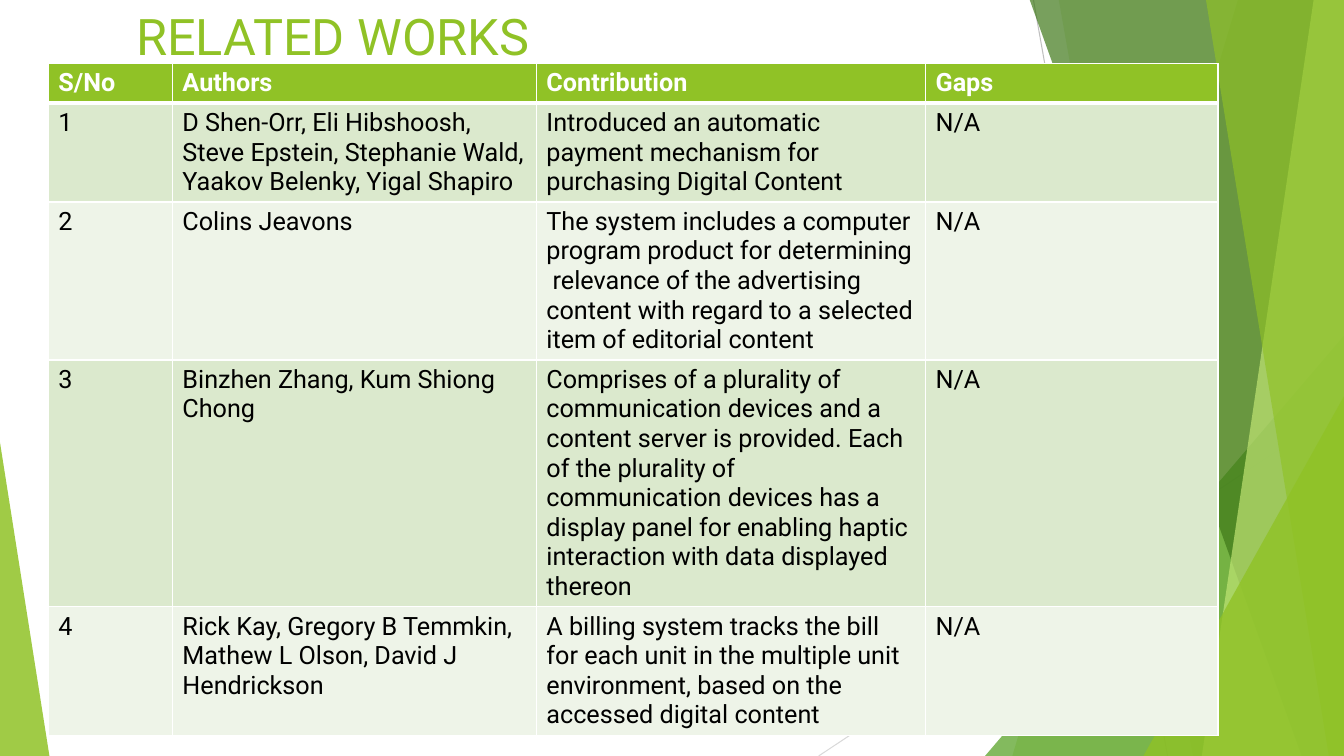
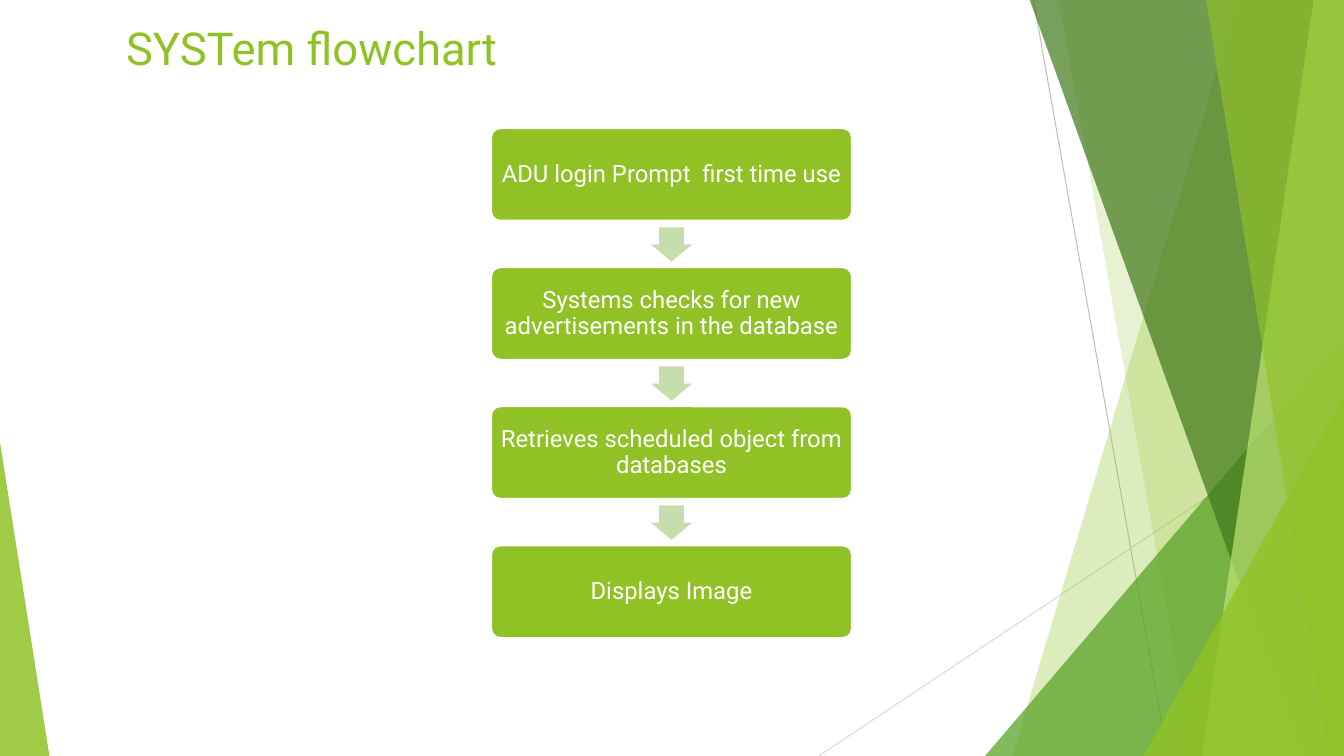
from pptx import Presentation
from pptx.dml.color import RGBColor
from pptx.enum.shapes import MSO_CONNECTOR, MSO_SHAPE
from pptx.enum.text import MSO_ANCHOR, MSO_AUTO_SIZE, PP_ALIGN
from pptx.oxml.ns import qn
from pptx.util import Inches, Pt
from lxml.etree import SubElement

# Shared look
WHITE = RGBColor(0xFF, 0xFF, 0xFF)
BLACK = RGBColor(0, 0, 0)
LIME = RGBColor(0x90, 0xC2, 0x26)
GREEN = RGBColor(0x54, 0xA0, 0x21)
FOREST = RGBColor(0x3F, 0x78, 0x19)
PALE = RGBColor(0xC0, 0xE4, 0x74)
ARROW = RGBColor(0xC6, 0xDD, 0xAD)
ODD = RGBColor(0xDB, 0xE9, 0xCD)
EVEN = RGBColor(0xEE, 0xF4, 0xE8)
GREY = RGBColor(0xBF, 0xBF, 0xBF)
SILVER = RGBColor(0xD9, 0xD9, 0xD9)
WIDE, HIGH, TOP = 13.33, 7.5, -0.01

HEAD = {"name": "Roboto", "size": Pt(18), "bold": True}
CELL = {"name": "Roboto", "size": Pt(18), "bold": False}
STEP = {"name": "Roboto", "size": Pt(17)}
FRAME = {"word_wrap": True, "auto_size": MSO_AUTO_SIZE.NONE}
INSET = {"margin_" + side: Inches(0.05)
         for side in ("left", "right", "top", "bottom")}

# Backdrop: (top x, bottom x, colour, opacity) and (box, slant, colour, opacity)
LINES = [((10.25, 0, 11.58, HIGH), GREY), ((WIDE, 4.03, 8.12, HIGH), SILVER)]
REAR = [(12.28, 10.04, LIME, 30), (10.5, 11.83, LIME, 20)]
FRONT = [(10.21, 12.91, FOREST, 70), (13.03, 11.92, PALE, 70),
         (11.96, 13.18, LIME, 65)]
MID = ((9.77, 3.33, 3.56, 4.17), 1, GREEN, 72)
ENDS = [((11.34, 3.93, 1.99, 3.57), 1, LIME, 80),
        ((0, 4.39, 0.49, 3.11), 0, LIME, 85)]

# Related works
COLS = [1.23, 3.61, 3.86, 2.9]
ROWS = [0.38, 0.98, 1.56, 2.45, 1.27]
WORKS = [
    ("S/No", "Authors", "Contribution", "Gaps"),
    ("1", "D Shen-Orr, Eli Hibshoosh, Steve Epstein, Stephanie Wald, "
     "Yaakov Belenky, Yigal Shapiro",
     "Introduced an automatic payment mechanism for purchasing Digital "
     "Content", "N/A"),
    ("2", "Colins Jeavons",
     "The system includes a computer program product for determining "
     "\u00a0relevance of the advertising content with regard to a selected "
     "item of editorial content", "N/A"),
    ("3", "Binzhen Zhang, Kum Shiong Chong",
     "Comprises of a plurality of communication devices and a content "
     "server is provided. Each of the plurality of communication devices "
     "has a display panel for enabling haptic interaction with data "
     "displayed thereon", "N/A"),
    ("4", "Rick Kay, Gregory B Temmkin, Mathew L Olson, David J Hendrickson",
     "A billing system tracks the bill for each unit in the multiple unit "
     "environment, based on the accessed digital content", "N/A"),
]

# Flowchart
STEPS = ["ADU login Prompt  first time use",
         "Systems checks for new advertisements in the database",
         "Retrieves scheduled object from databases",
         "Displays Image"]


def apply(item, values):
    for name, value in values.items():
        setattr(item, name, value)


def inches(nums):
    return [Inches(num) for num in nums]


def write(para, text, form, color):
    run = para.add_run()
    run.text = text
    apply(run.font, form)
    run.font.color.rgb = color


def paint(shape, color, alpha=100):
    shape.shadow.inherit = False
    shape.fill.solid()
    shape.fill.fore_color.rgb = color
    shape.line.fill.background()
    if alpha < 100:
        tint = next(shape.element.iter(qn("a:srgbClr")))
        SubElement(tint, qn("a:alpha")).set("val", str(alpha * 1000))


# Backdrop parts
def line(shapes, ends, color):
    link = shapes.add_connector(MSO_CONNECTOR.STRAIGHT, *inches(ends))
    link.line.color.rgb = color
    link.line.width = Pt(0.75)
    SubElement(link.element.spPr, qn("a:effectLst"))


def band(shapes, head, foot, color, alpha):
    pen = shapes.build_freeform(Inches(head), Inches(TOP))
    pen.add_line_segments([inches(spot) for spot in (
        (WIDE, TOP), (WIDE, HIGH), (foot, HIGH))])
    paint(pen.convert_to_shape(), color, alpha)


def wedge(shapes, box, slant, color, alpha):
    shape = shapes.add_shape(MSO_SHAPE.ISOSCELES_TRIANGLE, *inches(box))
    shape.adjustments[0] = slant
    paint(shape, color, alpha)


def backdrop(slide, layout):
    """Draw the facets, then hand them to the layout that all slides use."""
    shapes = slide.shapes
    for ends, color in LINES:
        line(shapes, ends, color)
    for part in REAR:
        band(shapes, *part)
    wedge(shapes, *MID)
    for part in FRONT:
        band(shapes, *part)
    for part in ENDS:
        wedge(shapes, *part)
    parts = [shape for shape in shapes if not shape.is_placeholder]
    for num, shape in enumerate(parts, 100):
        next(shape.element.iter(qn("p:cNvPr"))).set("id", str(num))
        layout.shapes.element.append(shape.element)


# Slide parts
def title(slide, text, box, size):
    head = slide.shapes.title
    apply(head, dict(zip(("left", "top", "width", "height"), inches(box))))
    apply(head.text_frame, {**FRAME, "vertical_anchor": MSO_ANCHOR.TOP})
    para = head.text_frame.paragraphs[0]
    para.alignment = PP_ALIGN.LEFT
    write(para, text, {"name": "Roboto", "size": Pt(size)}, LIME)


def border(cell, foot):
    props = cell._tc.get_or_add_tcPr()
    for side, width in (("L", 1), ("R", 1), ("T", 1), ("B", foot)):
        edge = SubElement(props, qn("a:ln" + side))
        edge.set("w", str(Pt(width)))
        fill = SubElement(edge, qn("a:solidFill"))
        SubElement(fill, qn("a:srgbClr")).set("val", str(WHITE))


def table(slide, rows, left, top):
    box = inches((left, top, sum(COLS), sum(ROWS)))
    grid = slide.shapes.add_table(len(rows), len(COLS), *box).table
    for col, width in zip(grid.columns, COLS):
        col.width = Inches(width)
    for num, (row, high, texts) in enumerate(zip(grid.rows, ROWS, rows)):
        row.height = Inches(high)
        if num == 0:
            form, ink, back, foot = HEAD, WHITE, LIME, 3
        else:
            form, ink, foot = CELL, BLACK, 1
            back = ODD if num % 2 else EVEN
        for cell, text in zip(row.cells, texts):
            border(cell, foot)
            cell.fill.solid()
            cell.fill.fore_color.rgb = back
            write(cell.text_frame.paragraphs[0], text, form, ink)


def step(slide, text, top):
    box = slide.shapes.add_shape(MSO_SHAPE.ROUNDED_RECTANGLE,
                                 *inches((4.87, top, 3.58, 0.92)))
    box.adjustments[0] = 0.1
    paint(box, LIME)
    box.line.color.rgb = WHITE
    box.line.width = Pt(1.5)
    apply(box.text_frame, {**FRAME, **INSET,
                           "vertical_anchor": MSO_ANCHOR.MIDDLE})
    para = box.text_frame.paragraphs[0]
    apply(para, {"alignment": PP_ALIGN.CENTER, "line_spacing": 0.9})
    write(para, text, STEP, WHITE)


def arrow(slide, top):
    shape = slide.shapes.add_shape(MSO_SHAPE.RIGHT_ARROW,
                                   *inches((6.49, top, 0.34, 0.41)))
    shape.rotation = 90
    shape.adjustments[0] = 0.6
    shape.adjustments[1] = 0.5
    paint(shape, ARROW)


def flow(slide, steps, top, pitch):
    for num, text in enumerate(steps):
        if num:
            arrow(slide, top + num * pitch - 0.43)
        step(slide, text, top + num * pitch)


def main():
    deck = Presentation()
    apply(deck, {"slide_width": Inches(WIDE), "slide_height": Inches(HIGH)})
    layout = deck.slide_layouts[5]

    works = deck.slides.add_slide(layout)
    backdrop(works, layout)
    title(works, "RELATED WORKS", (1.25, 0, 10.83, 0.82), 36)
    table(works, WORKS, 0.48, 0.63)

    chart = deck.slides.add_slide(layout)
    title(chart, "SYSTem flowchart", (1.15, 0.15, 10.83, 0.52), 32.4)
    flow(chart, STEPS, 1.27, 1.38)

    deck.save("out.pptx")


main()
